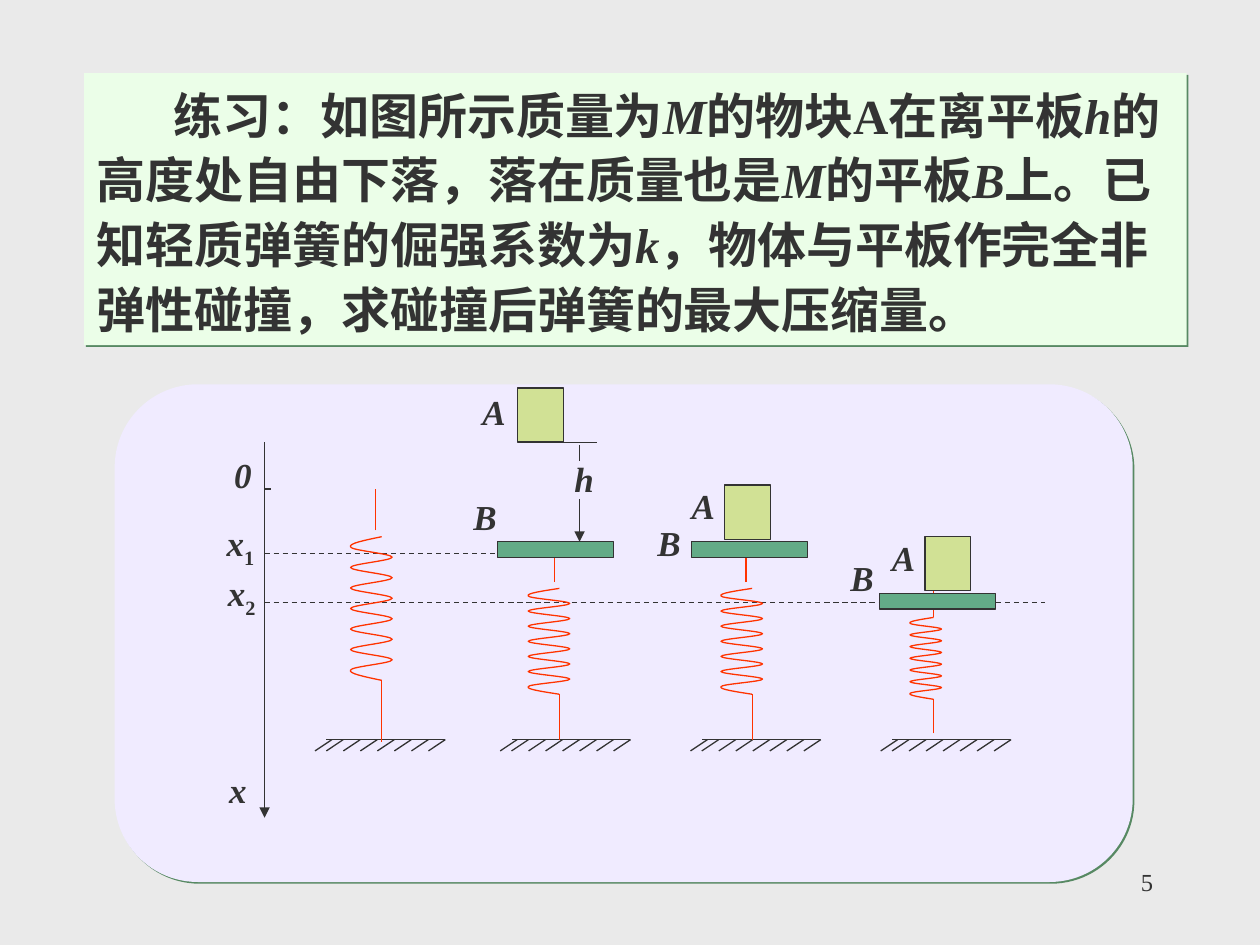
import pptx
import pptx.util
import pptx.dml.color
import pptx.enum.dml
import pptx.enum.shapes
import pptx.enum.text
import pptx.oxml
import pptx.oxml.ns

RGB = pptx.dml.color.RGBColor
GRAY = RGB(0xEA, 0xEA, 0xEA)
INK = RGB(0x33, 0x33, 0x33)
LILAC = RGB(0xF0, 0xEB, 0xFF)
MINT = RGB(0xEB, 0xFE, 0xE8)
SHADE = RGB(0x57, 0x89, 0x63)
RED = RGB(0xFF, 0x33, 0x00)
GREEN = RGB(0x63, 0xAB, 0x87)
LIME = RGB(0xD1, 0xE1, 0x95)
FONT = "Times New Roman"
KIND = pptx.enum.shapes.MSO_SHAPE
ALIGN = pptx.enum.text.PP_ALIGN
DASH = pptx.enum.dml.MSO_LINE.DASH
Pt = pptx.util.Pt
CELL = pptx.util.Inches(0.1)
SPACE = pptx.oxml.ns.nsdecls("a")
qn = pptx.oxml.ns.qn


def cells(*sizes):
    """Turn grid cells into slide lengths."""
    return [pptx.util.Emu(round(size * CELL)) for size in sizes]


def inner(box, x, y, wide=0, high=0):
    """Give a box placed relative to the corner of another box."""
    return box[0] + x, box[1] + y, wide, high


def add_run(para, text, size, bold=True, slant=False, sub=False):
    """Add one run of text to a paragraph."""
    run = para.add_run()
    run.text = text
    font = run.font
    font.name, font.size, font.bold, font.italic = FONT, Pt(size), bold, slant
    font.color.rgb = INK
    if sub:
        run._r.get_or_add_rPr().set("baseline", "-25000")


def cast(shape):
    """Give a shape a thin hard shadow to the lower right."""
    shape.shadow.inherit = False
    shade = pptx.oxml.parse_xml(
        f'<a:outerShdw {SPACE} dist="17780" dir="2700000" algn="ctr" rotWithShape="0">'
        f'<a:srgbClr val="{SHADE}"/></a:outerShdw>')
    shape._element.spPr.find(qn("a:effectLst")).append(shade)


def stroke(shape, color):
    """Give a shape or a line a thin stroke."""
    shape.line.color.rgb = color
    shape.line.width = Pt(0.75)


def block(slide, box, fill, kind=KIND.RECTANGLE, edge=True):
    """Draw a filled preset shape in a box."""
    shape = slide.shapes.add_shape(kind, *cells(*box))
    shape.shadow.inherit = False
    shape.fill.solid()
    shape.fill.fore_color.rgb = fill
    if edge:
        stroke(shape, INK)
    else:
        shape.line.fill.background()
    return shape


def line(slide, box, start, end, color=INK, dash=False, arrow=False):
    """Draw a straight line between two points of a box."""
    ends = cells(*inner(box, *start)[:2], *inner(box, *end)[:2])
    link = slide.shapes.add_connector(pptx.enum.shapes.MSO_CONNECTOR.STRAIGHT, *ends)
    stroke(link, color)
    if dash:
        link.line.dash_style = DASH
    root = link._element
    if arrow:
        root.spPr.find(qn("a:ln")).append(
            pptx.oxml.parse_xml(f'<a:tailEnd {SPACE} type="triangle"/>'))
    root.spPr.append(pptx.oxml.parse_xml(f"<a:effectLst {SPACE}/>"))
    root.remove(root.find(qn("p:style")))


def label(slide, box, text, sub=""):
    """Write a slanted letter with an optional lower index."""
    frame = slide.shapes.add_textbox(*cells(*box)).text_frame
    frame.word_wrap = True
    para = frame.paragraphs[0]
    para.space_before = Pt(12.5)
    add_run(para, text, 20, slant=True)
    if sub:
        add_run(para, sub, 20, sub=True)


def coil(slide, box, turns=14):
    """Draw a curved spring that fills a box, from bottom to top."""
    left, top, wide, high = box
    marks = [0.75] + [k % 2 for k in range(turns - 1)] + [0.75]

    def spot(mark, turn):
        return cells(left + mark * wide, top + high * (1 - turn / turns))

    draft = slide.shapes.build_freeform(*spot(marks[0], 0))
    draft.add_line_segments([spot(marks[k], k) for k in range(1, turns + 1)], close=False)
    shape = draft.convert_to_shape()
    shape.shadow.inherit = False
    shape.fill.background()
    stroke(shape, RED)
    for k, step in enumerate(list(shape._element.iter(qn("a:lnTo")))):
        near, far = marks[k], marks[k + 1]
        if k == 0:
            near, far = 0.36, -0.06
        elif k == turns - 1:
            near, far = -0.06, 0.36
        curve = pptx.oxml.parse_xml(f"<a:cubicBezTo {SPACE}/>")
        for mark, turn in ((near, k + 1 / 3), (far, k + 2 / 3)):
            x, y = spot(mark, turn)
            curve.append(pptx.oxml.parse_xml(
                f'<a:pt {SPACE} x="{x - shape.left}" y="{y - shape.top}"/>'))
        curve.append(step[0])
        step.getparent().replace(step, curve)


def ground(slide, box):
    """Draw the hatched floor in a box."""
    wide, high = box[2:]
    pitch = 1.35
    line(slide, box, (wide, 0), (0.9, 0))
    for x in [0] + [0.9 + k * pitch for k in range(7)]:
        line(slide, box, (x, high), (x + pitch, 0))


def axis(slide, box):
    """Draw the upright axis, its marks and the level lines."""
    line(slide, box, (11.9, 4.6), (11.9, 34.4), arrow=True)
    line(slide, box, (11.9, 8.3), (12.4, 8.3))
    for y, end in ((13.45, 30.6), (17.3, 73.8)):
        line(slide, box, (11.9, y), (end, y), dash=True)
    for x, y, text, sub in ((8.5, 5, "0", ""), (7.9, 10.4, "x", "1"),
                            (8, 14.4, "x", "2"), (8.1, 30, "x", "")):
        label(slide, inner(box, x, y, 5.4, 4.8), text, sub)


def springs(slide, box):
    """Draw the four springs with their floors, plates and blocks."""
    rigs = (
        (15.9, 21.2, 3.3, 12.1, 11.4, 28.4, (20.7, 11.6, 8.3), None, None),
        (30.6, 35.3, 3.3, 16.2, 8.4, 28.2, (34.9, 15.7, 13.5), (30.4, 12.5), (32, 0.3)),
        (45.7, 50.6, 3.3, 16.2, 8.4, 28.2, (50.1, 15.7, 13.5), (45.8, 12.5), (48.4, 8)),
        (60.8, 65, 2.5, 18.5, 6.5, 27.7, (65, 18.5, 15.3), (60.7, 16.6), (64.3, 12.1)),
    )
    for floor, mid, wide, top, high, foot, lead, plate, mass in rigs:
        ground(slide, inner(box, floor, 28.2, 10.3, 0.9))
        line(slide, box, (mid, foot), (mid, top + high), RED)
        coil(slide, inner(box, mid - 0.75 * wide, top, wide, high))
        x, low, peak = lead
        line(slide, box, (x, low), (x, peak), RED)
        if plate:
            block(slide, inner(box, *plate, 9.2, 1.25), GREEN)
            block(slide, inner(box, *mass, 3.65, 4.3), LIME)


def drop(slide, box):
    """Mark the height of the fall and name the bodies."""
    line(slide, box, (35.6, 4.6), (38.3, 4.6))
    line(slide, box, (36.9, 4.8), (36.9, 6.1))
    line(slide, box, (36.9, 9.1), (36.9, 12.5), arrow=True)
    for x, y, text in ((35.5, 5.3, "h"), (28.2, 0, "A"), (27.5, 8.3, "B"),
                       (44.8, 7.5, "A"), (42.1, 10.4, "B"),
                       (60.7, 11.6, "A"), (57.4, 13.2, "B")):
        label(slide, inner(box, x, y, 4.4, 4.4), text)


def figure(slide, box):
    """Draw the panel and all of the sketch on it."""
    panel = block(slide, box, LILAC, KIND.ROUNDED_RECTANGLE, edge=False)
    panel.adjustments[0] = 0.167
    cast(panel)
    axis(slide, box)
    springs(slide, box)
    drop(slide, box)


def problem(slide, box):
    """Write the exercise in the title placeholder."""
    title = slide.shapes.title
    title.left, title.top, title.width, title.height = cells(*box)
    title.fill.solid()
    title.fill.fore_color.rgb = MINT
    cast(title)
    frame = title.text_frame
    frame.word_wrap = True
    frame.auto_size = pptx.enum.text.MSO_AUTO_SIZE.NONE
    frame.vertical_anchor = pptx.enum.text.MSO_ANCHOR.TOP
    para = frame.paragraphs[0]
    para.alignment = ALIGN.LEFT
    para.line_spacing = 1.1
    para.space_before = Pt(17.5)
    props = para._p.get_or_add_pPr()
    props.set("indent", str(cells(6.1)[0]))
    props.set("hangingPunct", "0")
    parts = ("练习：如图所示质量为", "M", "的物块A在离平板", "h",
             "的高度处自由下落，落在质量也是", "M", "的平板", "B",
             "上。已知轻质弹簧的倔强系数为", "k",
             "，物体与平板作完全非弹性碰撞，求碰撞后弹簧的最大压缩量。")
    for k, text in enumerate(parts):
        add_run(para, text, 28, slant=k % 2 == 1)


def number(slide, box):
    """Write the page number at the right of a box."""
    para = slide.shapes.add_textbox(*cells(*box)).text_frame.paragraphs[0]
    para.alignment = ALIGN.RIGHT
    add_run(para, "5", 14, bold=False)


deck = pptx.Presentation()
deck.slide_width, deck.slide_height = cells(100, 75)
page = deck.slides.add_slide(deck.slide_layouts[5])
page.background.fill.solid()
page.background.fill.fore_color.rgb = GRAY
problem(page, (6.68, 5.8, 87.5, 21.6))
figure(page, (9.1, 30.5, 80.8, 39.5))
number(page, (71.7, 68.3, 20.8, 5))
deck.save("out.pptx")
